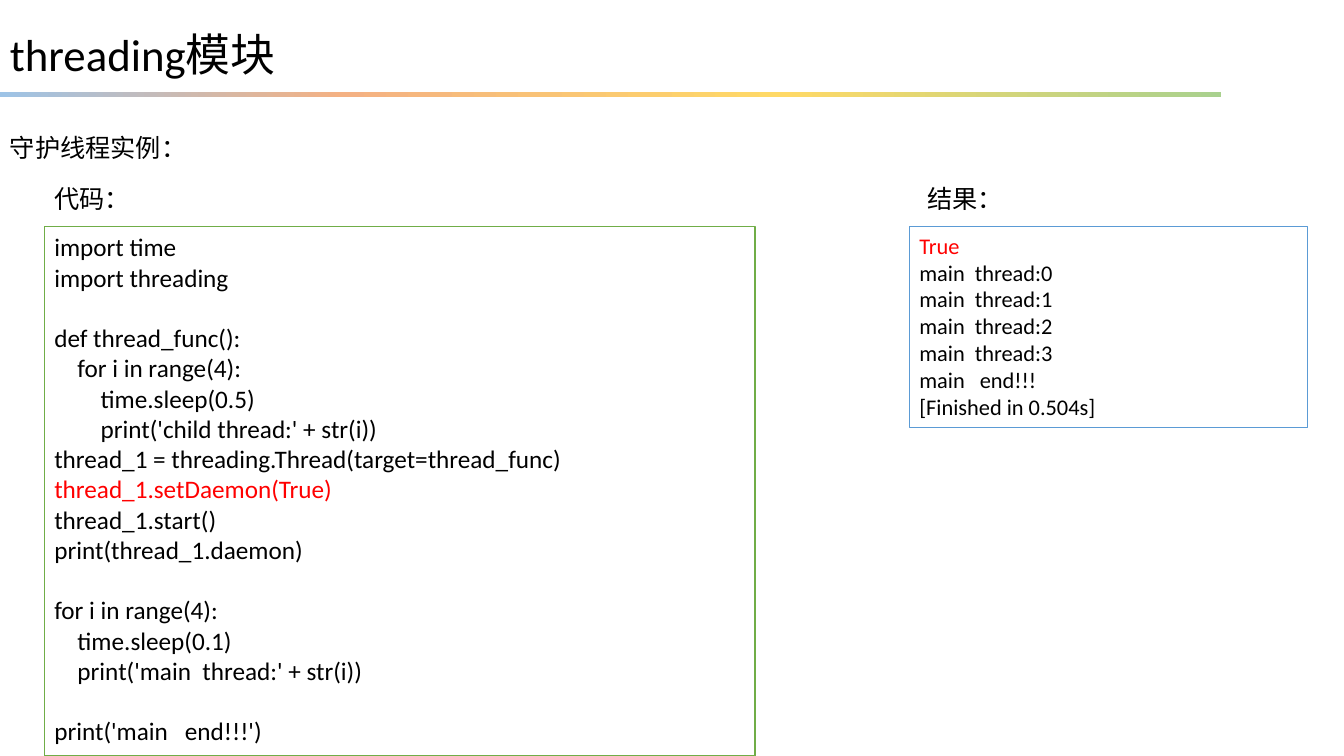
"""Build the slide on daemon threads: heading, code panel and result panel."""
from copy import deepcopy
from dataclasses import dataclass

from lxml import etree
from pptx import Presentation
from pptx import util as u
from pptx.dml.color import RGBColor
from pptx.enum import shapes, text
from pptx.oxml import ns

COLORS = {
    "text": "000000", "accent": "FF0000", "panel": "FFFFFF",
    "code": "70AD47", "result": "5B9BD5",
    "blue": "9DC3E6", "orange": "F4B183", "yellow": "FFD966", "green": "A9D18E",
}
LATIN, CJK = "Calibri", "Noto Sans CJK SC"
CODE_INDENT = u.Inches(0.23)
BLANK_LINE = u.Pt(21.6)


@dataclass
class Line:
    text: str
    level: int = 0
    gap: bool = False
    color: str = "text"


@dataclass
class Block:
    left: float
    top: float
    width: float
    height: float
    size: int
    lines: list[Line]
    font: str = LATIN
    border: str = ""


def rgb(name: str) -> RGBColor:
    """Return a named colour."""
    return RGBColor.from_string(COLORS[name])


def add_rect(slide, left: float, top: float, width: float, height: float):
    """Add a rectangle without a shadow."""
    s = slide.shapes.add_shape(shapes.MSO_SHAPE.RECTANGLE, u.Inches(left),
                               u.Inches(top), u.Inches(width), u.Inches(height))
    s.shadow.inherit = False
    return s


def add_rule(slide, stops: list[tuple[float, str]]) -> None:
    """Add the gradient bar under the title."""
    s = add_rect(slide, 0, 0.91, 12.11, 0.05)
    s.line.fill.background()
    s.fill.gradient()
    s.fill.gradient_angle = 0
    stop_list = s._element.spPr.find(".//" + ns.qn("a:gsLst"))
    while len(stop_list) < len(stops):
        stop_list.append(deepcopy(stop_list[0]))
    for stop, (position, color) in zip(s.fill.gradient_stops, stops):
        stop.position = position
        stop.color.rgb = rgb(color)


def add_line(p, line: Line, block: Block) -> None:
    """Write one line of text into a paragraph."""
    p.alignment = text.PP_ALIGN.LEFT
    if line.level:
        p._p.get_or_add_pPr().set("marL", str(line.level * CODE_INDENT))
    if line.gap:
        p.space_before = BLANK_LINE
    r = p.add_run()
    r.text = line.text
    r.font.size = u.Pt(block.size)
    r.font.color.rgb = rgb(line.color)
    r.font.name = block.font
    etree.SubElement(r._r.get_or_add_rPr(), ns.qn("a:ea"), typeface=CJK)


def add_block(slide, block: Block) -> None:
    """Add a label, or a bordered panel, with its lines."""
    box = block.left, block.top, block.width, block.height
    if block.border:
        s = add_rect(slide, *box)
        s.fill.solid()
        s.fill.fore_color.rgb = rgb("panel")
        s.line.color.rgb = rgb(block.border)
        s.line.width = u.Pt(1)
    else:
        s = slide.shapes.add_textbox(*map(u.Inches, box))
    tf = s.text_frame
    tf.word_wrap = True
    tf.vertical_anchor = text.MSO_ANCHOR.TOP
    for i, line in enumerate(block.lines):
        add_line(tf.add_paragraph() if i else tf.paragraphs[0], line, block)


CODE = [
    Line("import time"),
    Line("import threading"),
    Line("def thread_func():", gap=True),
    Line("for i in range(4):", 1),
    Line("time.sleep(0.5)", 2),
    Line("print('child thread:' + str(i))", 2),
    Line("thread_1 = threading.Thread(target=thread_func)"),
    Line("thread_1.setDaemon(True)", color="accent"),
    Line("thread_1.start()"),
    Line("print(thread_1.daemon)"),
    Line("for i in range(4):", gap=True),
    Line("time.sleep(0.1)", 1),
    Line("print('main  thread:' + str(i))", 1),
    Line("print('main   end!!!')", gap=True),
]
RESULT = [
    Line("True", color="accent"),
    *(Line(f"main  thread:{i}") for i in range(4)),
    Line("main   end!!!"),
    Line("[Finished in 0.504s]"),
]
BLOCKS = [
    Block(0, 0.22, 5.48, 0.64, 32, [Line("threading模块")]),
    Block(0.44, 2.25, 7.05, 5.25, 18, CODE, border="code"),
    Block(9.02, 2.25, 3.95, 1.99, 16, RESULT, border="result"),
    Block(0, 1.26, 6.62, 0.4, 18, [Line("守护线程实例：")], CJK),
    Block(0.44, 1.77, 1.89, 0.4, 18, [Line("代码：")], CJK),
    Block(9.1, 1.77, 1.89, 0.4, 18, [Line("结果：")], CJK),
]

prs = Presentation()
prs.slide_width, prs.slide_height = u.Inches(13.33), u.Inches(7.5)
slide = prs.slides.add_slide(prs.slide_layouts[6])
add_rule(slide, [(0, "blue"), (0.28, "orange"), (0.64, "yellow"), (1, "green")])
for block in BLOCKS:
    add_block(slide, block)
prs.save("out.pptx")
